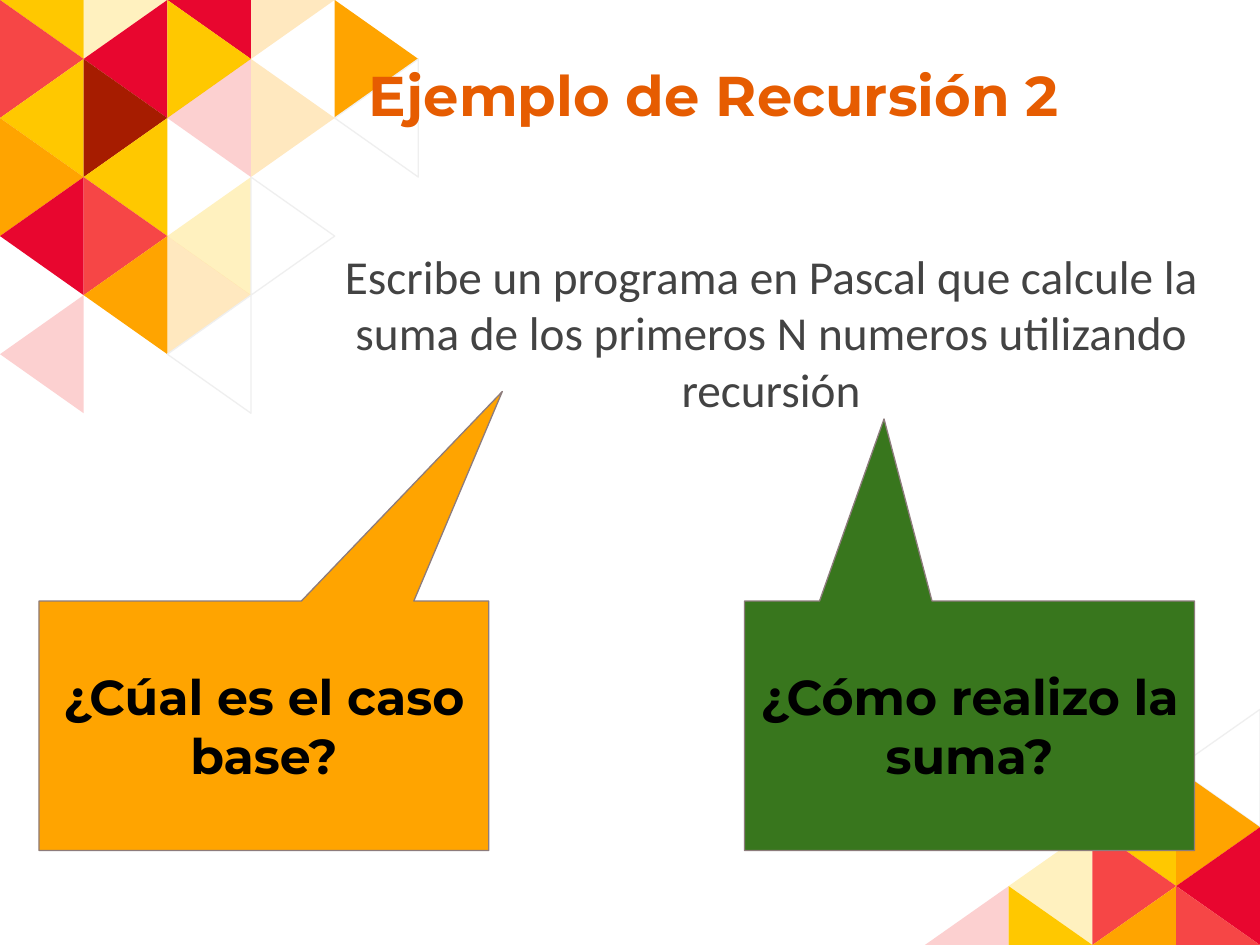
from dataclasses import dataclass

from lxml import etree
from pptx import Presentation
from pptx import util as u
from pptx.dml.color import RGBColor
from pptx.enum import shapes, text
from pptx.oxml.ns import qn


@dataclass(frozen=True)
class Theme:
    """Colours, fonts and type sizes of the deck."""
    orange: str = "FFA400"
    yellow: str = "FFC800"
    coral: str = "F64646"
    red: str = "E8062F"
    brown: str = "A61C00"
    white: str = "FFFFFF"
    mist: str = "EFEFEF"
    green: str = "38761D"
    edge: str = "8D7C7C"
    title: str = "E65C01"
    body: str = "434343"
    ink: str = "000000"
    head: str = "Montserrat"
    plain: str = "Calibri"
    big: int = 32
    note: int = 28
    copy: int = 27
    thin: float = 0.75
    tint: int = 25


T = Theme()
WIDE, HIGH = 10, 7.5
TONES = {"O": T.orange, "Y": T.yellow, "C": T.coral, "R": T.red,
         "D": T.brown, "W": T.white}
TOP = ("YyRo.", "CRY.O", "YDcoW", "OY...", "RCyW.", ".Oo..", "c.W..")
BASE = (".WoW", "..YO", ".yCR", "cYOC")


def paint(shape, fill, line=None, alpha=None):
    """Set a shape's fill, outline and opacity, without a shadow."""
    shape.shadow.inherit = False
    shape.fill.solid()
    shape.fill.fore_color.rgb = RGBColor.from_string(fill)
    if alpha:
        tone = shape.fill._xPr.find(".//" + qn("a:srgbClr"))
        etree.SubElement(tone, qn("a:alpha")).set("val", str(alpha * 1000))
    if line:
        shape.line.color.rgb = RGBColor.from_string(line)
        shape.line.width = u.Pt(T.thin)
    else:
        shape.line.fill.background()


def write(shape, words, font, size, color, bold=False, anchor="TOP",
          align="CENTER", inset=0.1, space=None):
    """Put one styled paragraph into a shape."""
    frame = shape.text_frame
    frame.word_wrap = True
    frame.vertical_anchor = text.MSO_ANCHOR[anchor]
    frame.margin_left = frame.margin_right = u.Inches(0.1)
    frame.margin_top = frame.margin_bottom = u.Inches(inset)
    para = frame.paragraphs[0]
    para.text = words
    para.alignment = text.PP_ALIGN[align]
    para.line_spacing = space
    para.font.name, para.font.size = font, u.Pt(size)
    para.font.bold = bold
    para.font.color.rgb = RGBColor.from_string(color)


def mosaic(slide, box, rows, first, tall):
    """Tile a box with triangles, pointing right on even cells, else left."""
    left, top, width, height = box
    wide, step = width / len(rows[0]), height / tall
    group = slide.shapes.add_group_shape()

    def spot(col, row):
        """Turn a grid point into a point held within the slide."""
        y = min(max(top + row * step, 0), HIGH)
        return u.Inches(left + col * wide), u.Inches(y)

    for row, marks in enumerate(rows, first):
        for col, mark in enumerate(marks):
            if mark == ".":
                continue
            odd = (row + col) % 2
            side, tip = col + odd, col + 1 - odd
            path = group.shapes.build_freeform(*spot(side, row), scale=1.0)
            path.add_line_segments([spot(side, row + 2), spot(tip, row + 1)])
            paint(path.convert_to_shape(), TONES[mark.upper()],
                  T.mist if mark == "W" else None,
                  T.tint if mark.islower() else None)


def title(slide, box, words):
    """Add the slide's heading."""
    shape = slide.shapes.add_textbox(*map(u.Inches, box))
    write(shape, words, T.head, T.big, T.title, True, "BOTTOM", "LEFT",
          0.05, 0.9)


def body(slide, box, words):
    """Add the task statement."""
    shape = slide.shapes.add_textbox(*map(u.Inches, box))
    write(shape, words, T.plain, T.copy, T.body)


def callout(slide, box, words, fill, tip):
    """Add a question in a callout whose tail ends at tip."""
    kind = shapes.MSO_SHAPE.ROUNDED_RECTANGULAR_CALLOUT
    shape = slide.shapes.add_shape(kind, *map(u.Inches, box))
    for i, value in enumerate((*tip, 0)):
        shape.adjustments[i] = value
    paint(shape, fill, T.edge)
    write(shape, words, T.head, T.note, T.ink, True, "MIDDLE")


def main():
    """Build and save the slide."""
    deck = Presentation()
    deck.slide_width, deck.slide_height = u.Inches(WIDE), u.Inches(HIGH)
    slide = deck.slides.add_slide(deck.slide_layouts[6])
    mosaic(slide, (7.34, 5.63, 2.66, 1.87), BASE, 0, 4)
    mosaic(slide, (0, 0, 3.32, 3.28), TOP, -1, 7)
    title(slide, (2.83, 0.15, 8.62, 0.92), "Ejemplo de Recursión 2")
    body(slide, (2.62, 1.86, 7, 1.89),
         "Escribe un programa en Pascal que calcule la suma de los "
         "primeros N numeros utilizando recursión")
    asks = ((0.31, "¿Cúal es el caso base?", T.orange, (0.53, -1.34)),
            (5.91, "¿Cómo realizo la suma?", T.green, (-0.19, -1.23)))
    for left, words, fill, tip in asks:
        callout(slide, (left, 4.77, 3.57, 1.98), words, fill, tip)
    deck.save("out.pptx")


if __name__ == "__main__":
    main()
